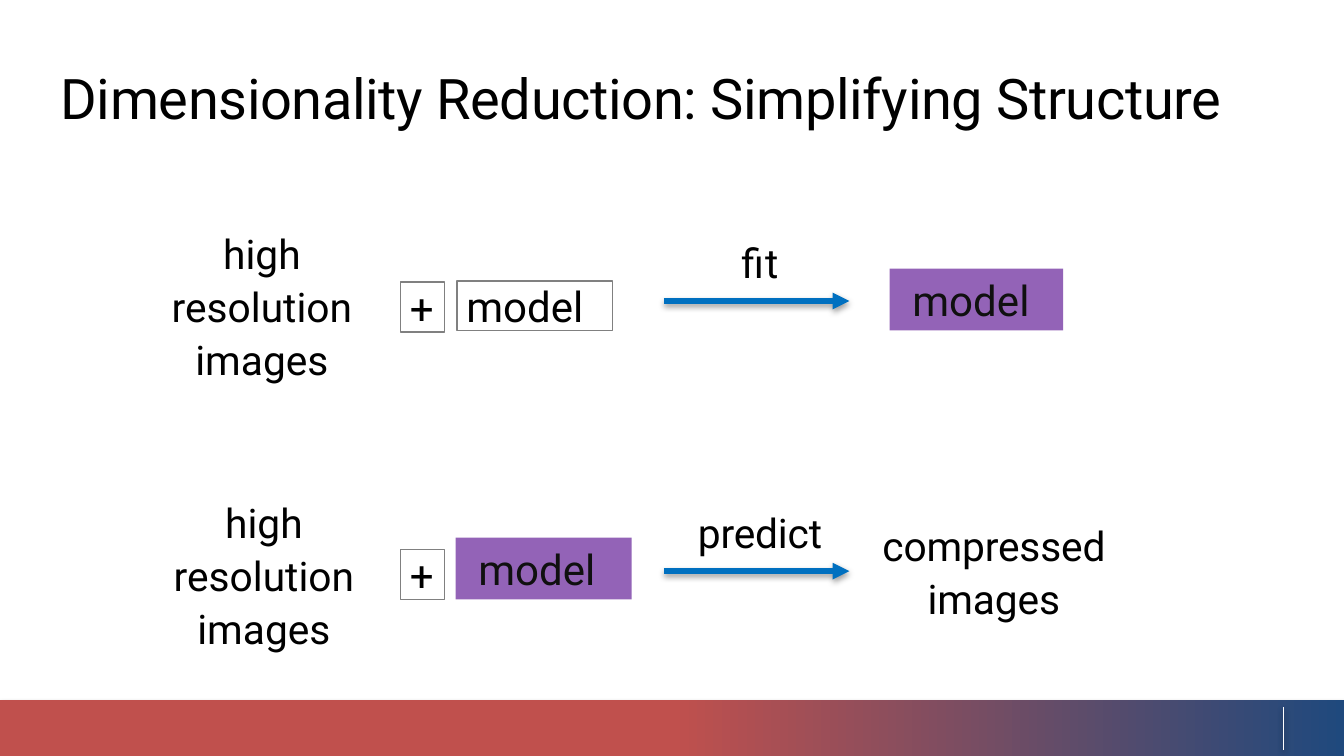
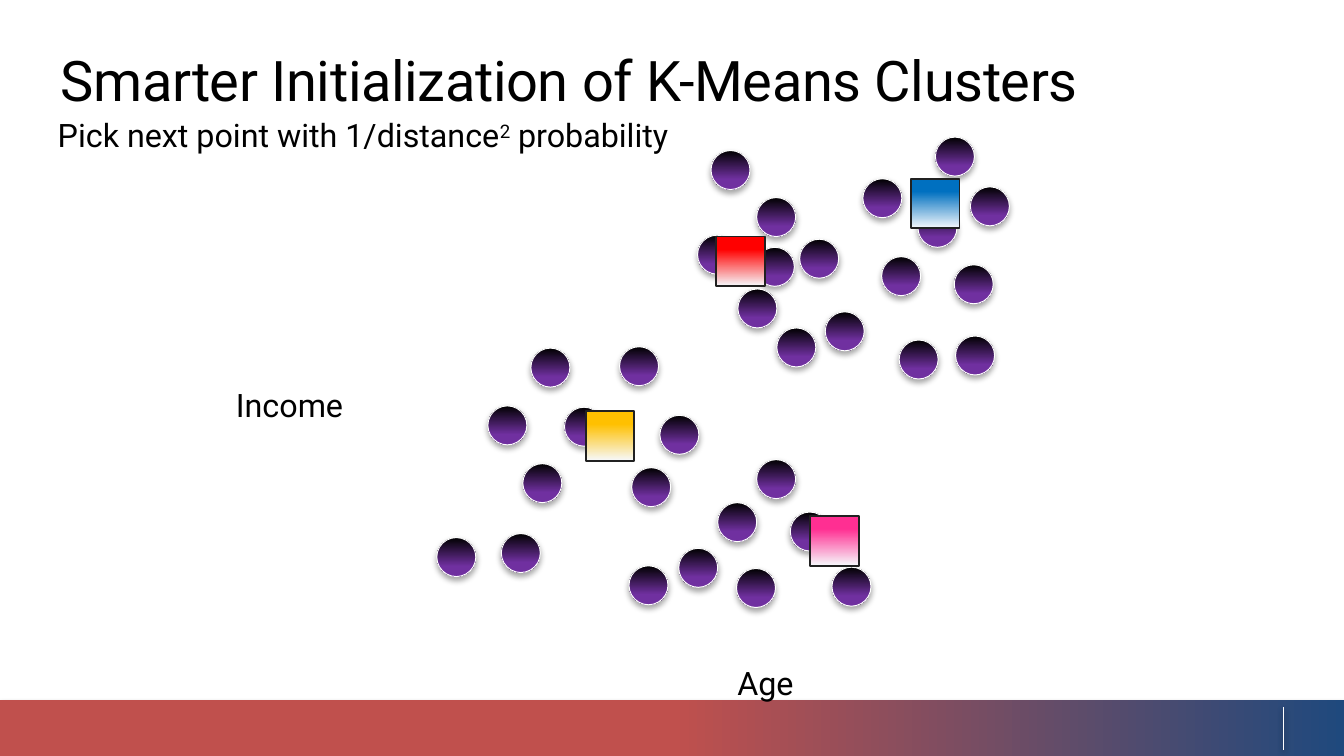
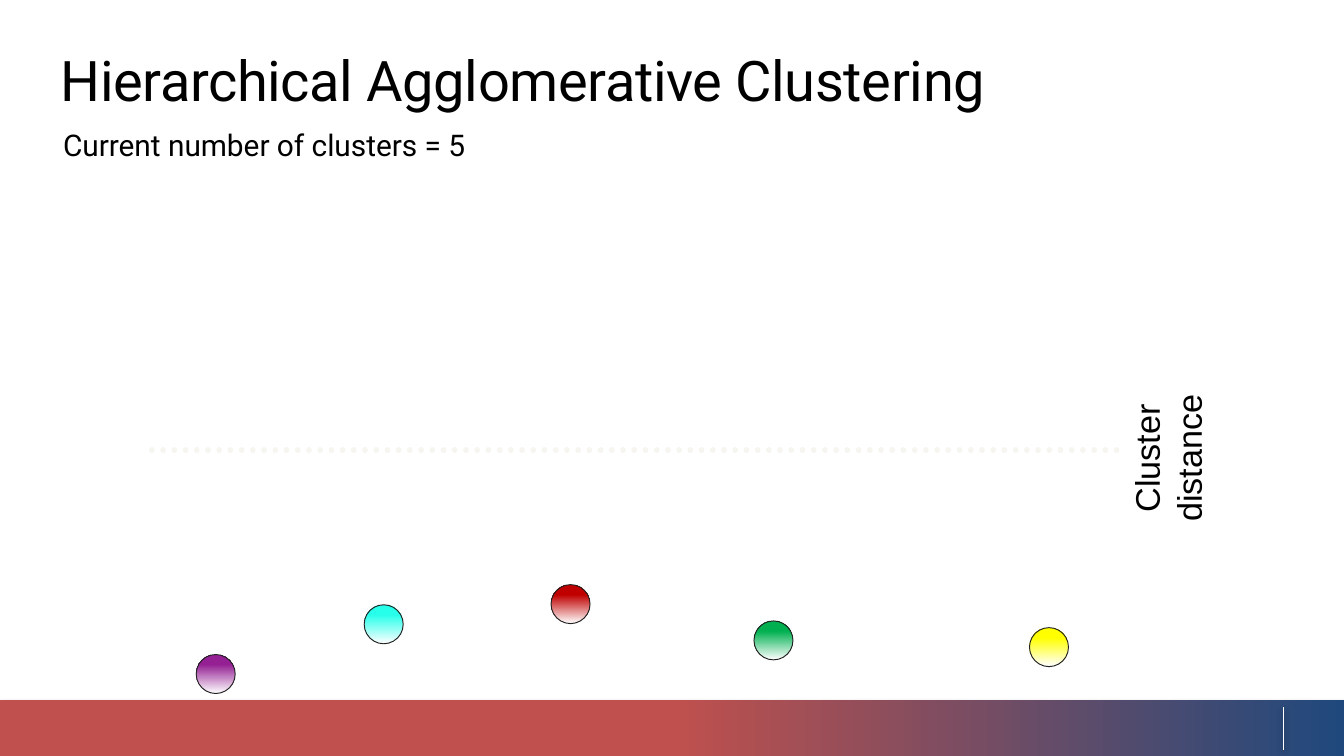
from dataclasses import dataclass

from pptx import Presentation
from pptx import util as u
from pptx.dml.color import RGBColor
from pptx.enum import dml, shapes, text
from pptx.oxml import parse_xml
from pptx.oxml.ns import nsdecls


@dataclass(frozen=True)
class Theme:
    font: str = "Roboto"
    axis_font: str = "Arial"
    ink: str = "000000"
    soft_ink: str = "101010"
    white: str = "FFFFFF"
    pale: str = "F6F9FC"
    outline: str = "212121"
    box_line: str = "808080"
    purple: str = "7030A0"
    blue: str = "0070C0"
    band_blue: str = "1F497D"
    band_red: str = "C0504D"
    dots: str = "F6F5F0"
    title: float = 30
    model: float = 22.5
    flow: float = 21.8
    label: float = 17.3
    note: float = 16
    axis: float = 31.5
    leading: float = 28.5
    axis_leading: float = 22.5


T = Theme()
RECT = shapes.MSO_SHAPE.RECTANGLE
OVAL = shapes.MSO_SHAPE.OVAL
LEFT, CENTER = text.PP_ALIGN.LEFT, text.PP_ALIGN.CENTER
DOWN, UP = 270, 90
DOT = 0.29

FLOW_LABELS = [
    ("high resolution images", (1.01, 1.67, 1.87, 1.19), 0),
    ("high resolution images", (1.01, 3.67, 1.9, 1.19), 0),
    ("compressed images", (6.42, 3.84, 1.94, 0.79), -0.1),
]
FLOW_STEPS = [("fit", 2.24), ("predict", 4.25)]
OPEN_BOXES = [
    ("model", (3.4, 2.09, 1.16, 0.37)),
    ("+", (2.98, 2.1, 0.33, 0.37)),
    ("+", (2.98, 4.09, 0.33, 0.37)),
]
FITTED_MODELS = [(6.62, 2, 1.29, 0.46), (3.39, 4, 1.31, 0.46)]

PEOPLE = [
    (5.29, 1.12), (5.19, 1.75), (5.63, 1.47), (5.62, 1.84), (5.49, 2.15),
    (5.95, 1.78), (6.14, 2.32), (5.78, 2.44), (6.69, 2.53), (7.11, 2.5),
    (7.1, 1.97), (6.56, 1.91), (6.83, 1.55), (7.22, 1.39), (6.96, 1.02),
    (6.42, 1.33), (3.25, 4), (3.63, 3.02), (3.95, 2.59), (4.2, 3.03),
    (4.61, 2.58), (4.91, 3.09), (4.7, 3.48), (3.89, 3.45), (3.73, 3.97),
    (4.68, 4.21), (5.05, 4.08), (5.34, 3.74), (5.63, 3.42), (5.88, 3.81),
    (5.48, 4.23), (6.19, 4.22),
]
CENTROIDS = [
    (4.36, 3.06, "FFC000"), (6.78, 1.33, T.blue),
    (5.33, 1.76, "FF0000"), (6.03, 3.84, "FF2F92"),
]
AXIS_LABELS = [("Age", (3.88, 4.83, 3.62, 0.39)), ("Income", (1.62, 2.76, 1.06, 0.39))]

CLUSTERS = [
    (7.66, 4.67, "FFFF00"), (5.61, 4.62, "00B050"), (4.1, 4.35, "C00000"),
    (2.71, 4.5, "27FFEB"), (1.46, 4.87, "942093"),
]


def rgb(value):
    return RGBColor.from_string(value)


def inches(box):
    return [u.Inches(v) for v in box]


def set_effect(sp, shadow=None):
    inner = ""
    if shadow:
        alpha, dist = shadow
        inner = (
            f'<a:outerShdw blurRad="40000" dist="{dist}" dir="5400000" rotWithShape="0">'
            f'<a:srgbClr val="{T.ink}"><a:alpha val="{alpha}000"/></a:srgbClr></a:outerShdw>'
        )
    sp.element.spPr.append(parse_xml(f'<a:effectLst {nsdecls("a")}>{inner}</a:effectLst>'))


def style_line(line, color, width):
    line.color.rgb = rgb(color)
    line.width = u.Pt(width)


def add_box(s, kind, box, line=None, shadow=None):
    sp = s.shapes.add_shape(kind, *inches(box))
    set_effect(sp, shadow)
    sp.fill.background()
    if line:
        style_line(sp.line, *line)
    else:
        sp.line.fill.background()
    return sp


def add_line(s, ends, color, width, shadow=None):
    line = s.shapes.add_connector(shapes.MSO_CONNECTOR.STRAIGHT, *inches(ends))
    style_line(line.line, color, width)
    set_effect(line, shadow)
    return line


def fill_gradient(sp, start, end, angle, stop=0.74):
    sp.fill.gradient()
    sp.fill.gradient_angle = angle
    for gs, color, pos in zip(sp.fill.gradient_stops, (start, end), (0, stop)):
        gs.color.rgb = rgb(color)
        gs.position = pos


def write(sp, runs, size, align=LEFT, color=T.ink, font=T.font, spacing=None,
          tracking=0, indent=0.01, margins=(0, 0), anchor=text.MSO_ANCHOR.TOP):
    tf = sp.text_frame
    tf.word_wrap = True
    tf.auto_size = text.MSO_AUTO_SIZE.NONE
    tf.vertical_anchor = anchor
    tf.margin_left = tf.margin_right = u.Inches(margins[0])
    tf.margin_top = tf.margin_bottom = u.Inches(margins[1])
    p = tf.paragraphs[0]
    p.alignment = align
    p.line_spacing = spacing
    for words, _ in runs:
        r = p.add_run()
        r.text = words
        r.font.size = u.Pt(size)
        r.font.name = font
        r.font.color.rgb = rgb(color)
    pPr = sp.element.xpath(".//a:pPr")[0]
    pPr.set("marL", str(u.Inches(indent)))
    pPr.set("indent", "0")
    for rPr, (_, baseline) in zip(sp.element.xpath(".//a:rPr"), runs):
        if baseline:
            rPr.set("baseline", str(baseline * 1000))
        if tracking:
            rPr.set("spc", str(round(tracking * 100)))


def add_text(s, runs, box, size, **style):
    sp = s.shapes.add_textbox(*inches(box))
    write(sp, runs, size, **style)
    return sp


def add_slide(prs, title, box=(0.44, 0.34, 9.23, 0.5)):
    s = prs.slides.add_slide(prs.slide_layouts[5])
    sp = s.shapes.title
    sp.left, sp.top, sp.width, sp.height = inches(box)
    write(sp, [(title, 0)], T.title, tracking=-0.2)
    return s


def move_footer_to_layout(s):
    band = add_box(s, RECT, (0, 5.21, 10, 0.42), shadow=(35, 23000))
    fill_gradient(band, T.band_blue, T.band_red, 180, stop=0.5)
    divider = add_line(s, (9.55, 5.26, 9.55, 5.58), T.white, 0.75, shadow=(38, 20000))
    for i, sp in enumerate((band, divider)):
        sp.element.xpath(".//p:cNvPr")[0].set("id", str(100 + i))
        s.slide_layout.shapes.element.insert(2 + i, sp.element)


def draw_reduction(s):
    flow = dict(align=CENTER, spacing=u.Pt(T.leading))
    for words, box, tracking in FLOW_LABELS:
        add_text(s, [(words, 0)], box, T.flow, tracking=tracking, **flow)
    for words, box in OPEN_BOXES:
        sp = add_box(s, RECT, box, line=(T.box_line, 0.75))
        write(sp, [(words, 0)], T.model, indent=0.07)
    for box in FITTED_MODELS:
        sp = add_box(s, RECT, box)
        sp.fill.solid()
        sp.fill.fore_color.rgb = rgb(T.purple)
        sp.element.spPr.xpath("./a:solidFill/a:srgbClr")[0].append(
            parse_xml(f'<a:alpha {nsdecls("a")} val="75000"/>'))
        write(sp, [("model", 0)], T.model, color=T.soft_ink, indent=0.07,
              margins=(0.1, 0.05), anchor=text.MSO_ANCHOR.MIDDLE)
    for words, y in FLOW_STEPS:
        arrow = add_line(s, (4.94, y, 6.32, y), T.blue, 3, shadow=(38, 20000))
        arrow.element.spPr.xpath("./a:ln")[0].append(
            parse_xml(f'<a:tailEnd {nsdecls("a")} type="triangle"/>'))
        add_text(s, [(words, 0)], (4.88, y - 0.5, 1.54, 0.4), T.flow, tracking=-0.1, **flow)


def draw_kmeans(s):
    for x, y in PEOPLE:
        dot = add_box(s, OVAL, (x, y, DOT, DOT), line=(T.white, 0.5), shadow=(35, 23000))
        fill_gradient(dot, T.ink, T.purple, DOWN)
    for words, box in AXIS_LABELS:
        add_text(s, [(words, 0)], box, T.label, align=CENTER, spacing=u.Pt(T.leading))
    rule = [("Pick next point with 1/distance", 0), ("2", 30), (" probability", 0)]
    add_text(s, rule, (0.42, 0.86, 4.87, 0.57), T.label)
    for x, y, color in CENTROIDS:
        square = add_box(s, RECT, (x, y, 0.36, 0.37), line=(T.outline, 1))
        fill_gradient(square, T.pale, color, UP)


def draw_hierarchy(s):
    for x, y, color in CLUSTERS:
        dot = add_box(s, OVAL, (x, y, DOT, DOT), line=(T.outline, 0.5))
        fill_gradient(dot, T.white, color, UP)
    add_text(s, [("Current number of clusters = 5", 0)], (0.46, 0.81, 5.46, 0.4),
             T.note, spacing=1.5)
    label = add_text(s, [("Cluster distance", 1)], (7.94, 3.26, 1.25, 0.31), T.axis,
                     align=CENTER, font=T.axis_font, spacing=u.Pt(T.axis_leading))
    label.rotation = 270
    cutoff = add_line(s, (1.13, 3.35, 8.37, 3.35), T.dots, 3)
    cutoff.line.dash_style = dml.MSO_LINE.ROUND_DOT
    cutoff.element.spPr.xpath("./a:ln")[0].set("cap", "rnd")


def main():
    prs = Presentation()
    prs.slide_width = u.Inches(10)
    prs.slide_height = prs.slide_width * 9 // 16
    s = add_slide(prs, "Dimensionality Reduction: Simplifying Structure", (0.44, 0.47, 9.23, 1))
    move_footer_to_layout(s)
    draw_reduction(s)
    draw_kmeans(add_slide(prs, "Smarter Initialization of K-Means Clusters"))
    draw_hierarchy(add_slide(prs, "Hierarchical Agglomerative Clustering"))
    prs.save("out.pptx")


if __name__ == "__main__":
    main()
